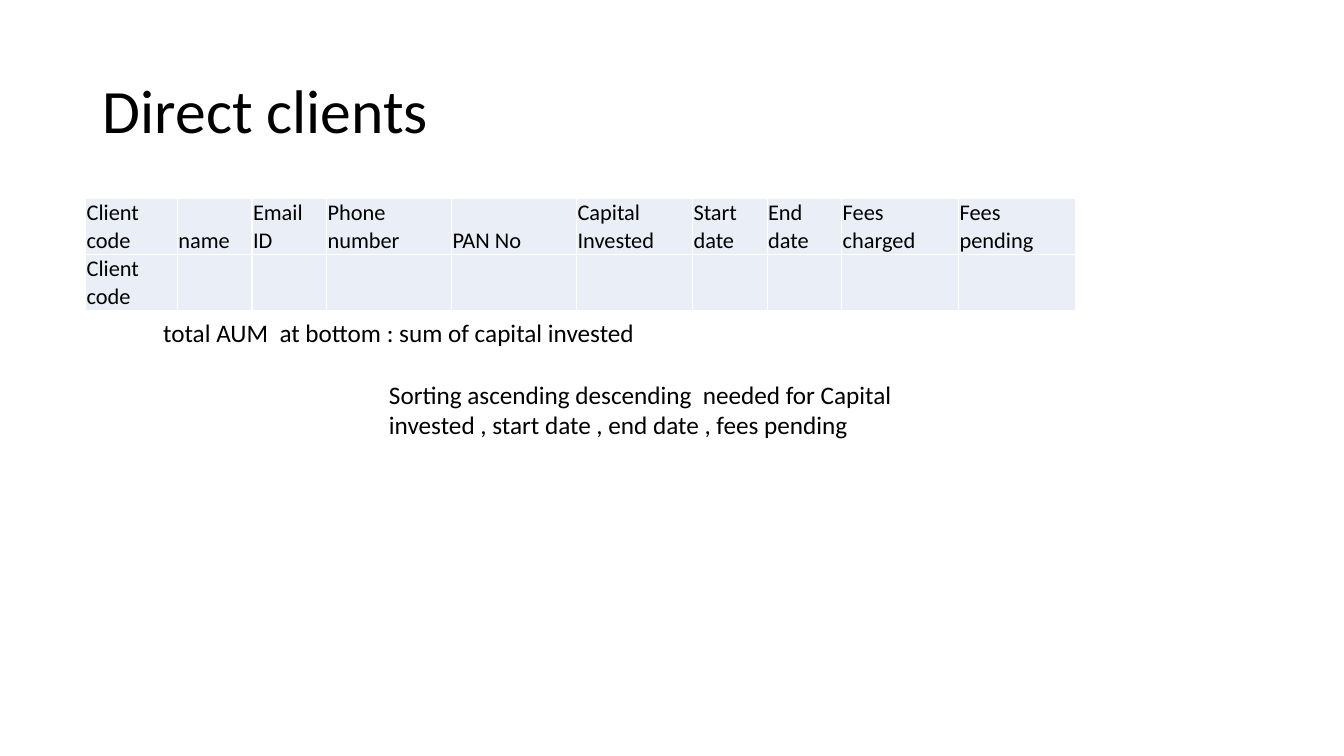
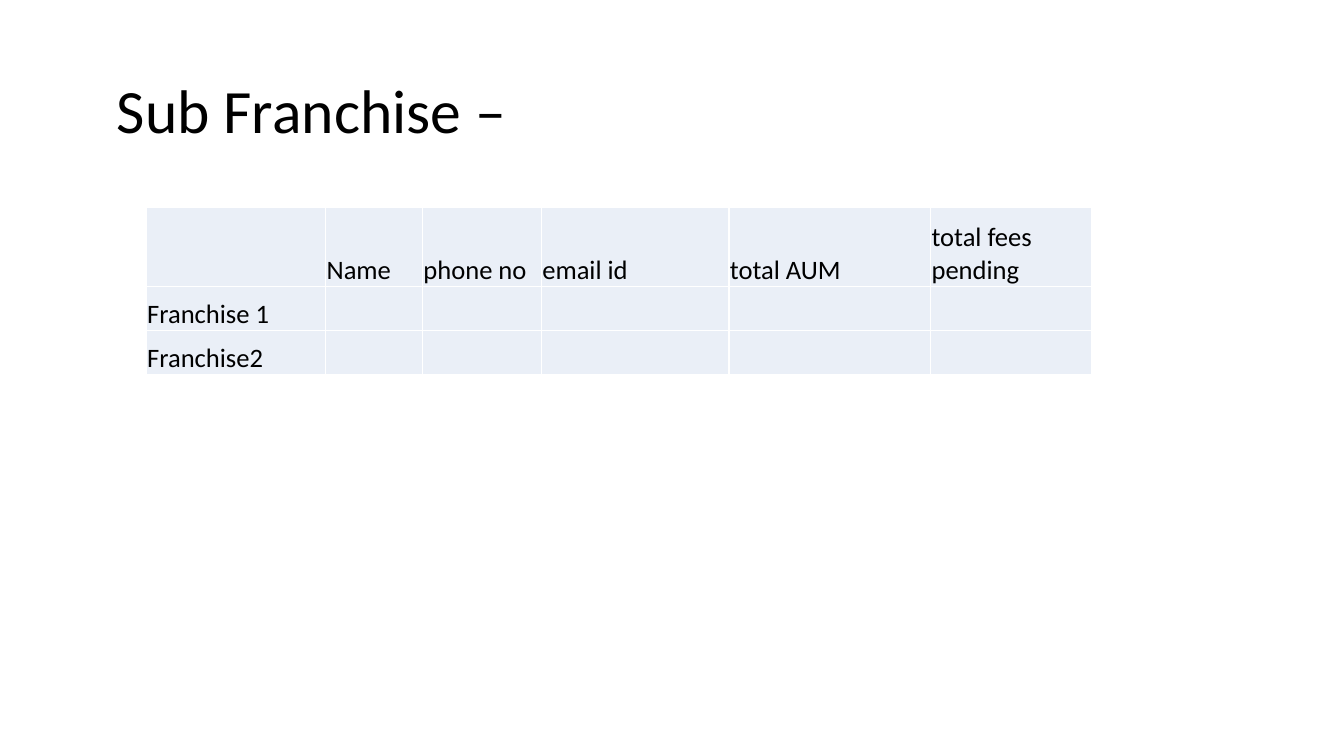
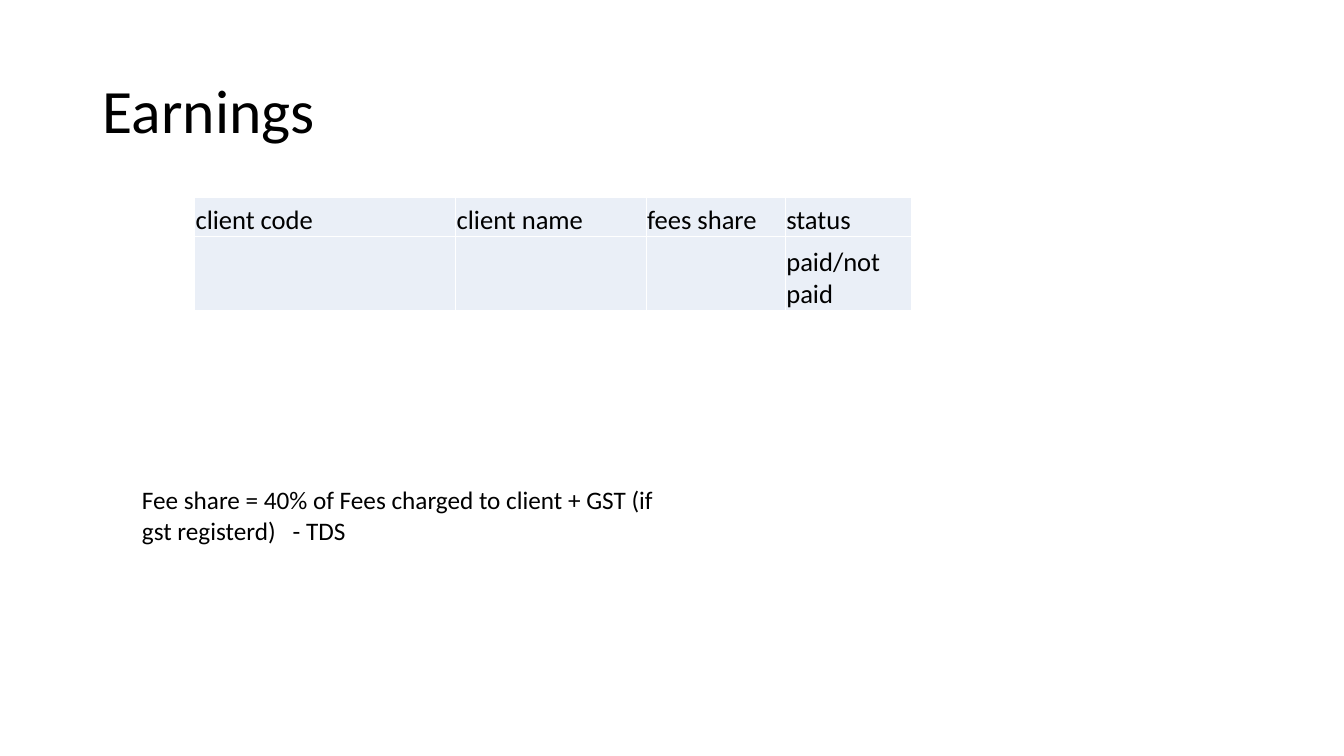
from pptx import Presentation
from pptx.dml.color import RGBColor
from pptx.enum.text import MSO_ANCHOR as Anchor, MSO_AUTO_SIZE as AutoSize, PP_ALIGN as Align
from pptx.oxml import parse_xml
from pptx.oxml.ns import nsdecls
from pptx.util import Inches, Pt

INK, PALE_BLUE, WHITE = "000000", "EAEFF7", "FFFFFF"
TITLE_BOX = (0.92, 0.4, 11.5, 1.45)
CELL_FORMAT = {
    "vertical_anchor": Anchor.BOTTOM,
    "margin_left": Inches(0.01),
    "margin_top": Inches(0.01),
    "margin_right": Inches(0.01),
    "margin_bottom": 0,
}


def color(value):
    return RGBColor.from_string(value)


def apply(target, values):
    for name, value in values.items():
        setattr(target, name, value)


class Deck:
    font = "Calibri"

    def __init__(self):
        self.presentation = Presentation()
        apply(self.presentation, {"slide_width": Inches(13.33), "slide_height": Inches(7.5)})
        self.slide = None

    def add_text(self, paragraph, text, size):
        run = paragraph.add_run()
        run.text = text
        apply(run.font, {"name": self.font, "size": Pt(size)})
        run.font.color.rgb = color(INK)

    def add_slide(self, title):
        self.slide = self.presentation.slides.add_slide(self.presentation.slide_layouts[5])
        shape = self.slide.shapes.title
        left, top, width, height = map(Inches, TITLE_BOX)
        apply(shape, {"left": left, "top": top, "width": width, "height": height})
        frame = shape.text_frame
        apply(frame, {"vertical_anchor": Anchor.MIDDLE, "auto_size": AutoSize.NONE, "word_wrap": True})
        paragraph = frame.paragraphs[0]
        apply(paragraph, {"alignment": Align.LEFT, "line_spacing": 0.9})
        self.add_text(paragraph, title, 44)

    def add_note(self, text, box, wrap=True):
        shape = self.slide.shapes.add_textbox(*map(Inches, box))
        frame = shape.text_frame
        apply(frame, {"word_wrap": wrap, "auto_size": AutoSize.SHAPE_TO_FIT_TEXT})
        self.add_text(frame.paragraphs[0], text, 18)

    def add_borders(self, cell):
        properties = cell._tc.get_or_add_tcPr()
        for side in ("lnL", "lnR", "lnT", "lnB"):
            properties.append(parse_xml(
                f'<a:{side} {nsdecls("a")} w="{Pt(1)}"><a:solidFill>'
                f'<a:srgbClr val="{WHITE}"/></a:solidFill></a:{side}>'))

    def add_table(self, left, top, widths, heights, texts, size):
        frame = self.slide.shapes.add_table(
            len(heights), len(widths), Inches(left), Inches(top),
            Inches(sum(widths)), Inches(sum(heights)))
        table = frame.table
        apply(table, {"first_row": False, "horz_banding": False})
        for column, width in zip(table.columns, widths):
            column.width = Inches(width)
        for row, height, row_texts in zip(table.rows, heights, texts):
            row.height = Inches(height)
            for cell in row.cells:
                apply(cell, CELL_FORMAT)
                self.add_borders(cell)
                cell.fill.solid()
                cell.fill.fore_color.rgb = color(PALE_BLUE)
            for cell, text in zip(row.cells, row_texts):
                if text:
                    self.add_text(cell.text_frame.paragraphs[0], text, size)


def main():
    deck = Deck()

    deck.add_slide("Direct clients")
    deck.add_table(
        0.85, 1.97,
        [0.91, 0.74, 0.74, 1.24, 1.24, 1.15, 0.74, 0.74, 1.16, 1.16], [0.55, 0.55],
        [["Client code", "name", "Email ID", "Phone number", "PAN No", "Capital Invested",
          "Start date", "End date", "Fees charged", "Fees pending"],
         ["Client code"]], 16)
    deck.add_note("Sorting ascending descending  needed for Capital invested , "
                  "start date , end date , fees pending", (3.76, 3.71, 6, 0.71))
    deck.add_note("total AUM  at bottom : sum of capital invested", (1.52, 3.1, 4.97, 0.4), wrap=False)

    deck.add_slide(" Sub Franchise –")
    deck.add_table(
        1.45, 2.06, [1.78, 0.96, 1.18, 1.86, 2, 1.6], [0.78, 0.44, 0.44],
        [["", "Name", "phone no", "email id", "total AUM", "total fees pending"],
         ["Franchise 1"], ["Franchise2"]], 19)

    deck.add_slide("Earnings")
    deck.add_table(
        1.93, 1.96, [2.59, 1.89, 1.38, 1.25], [0.39, 0.73],
        [["client code", "client name", "fees share", "status"],
         ["", "", "", "paid/not paid"]], 19)
    deck.add_note("Fee share = 40% of Fees charged to client + GST (if gst registerd)   - TDS",
                  (1.31, 4.76, 5.6, 0.71))

    deck.presentation.save("out.pptx")


if __name__ == "__main__":
    main()
